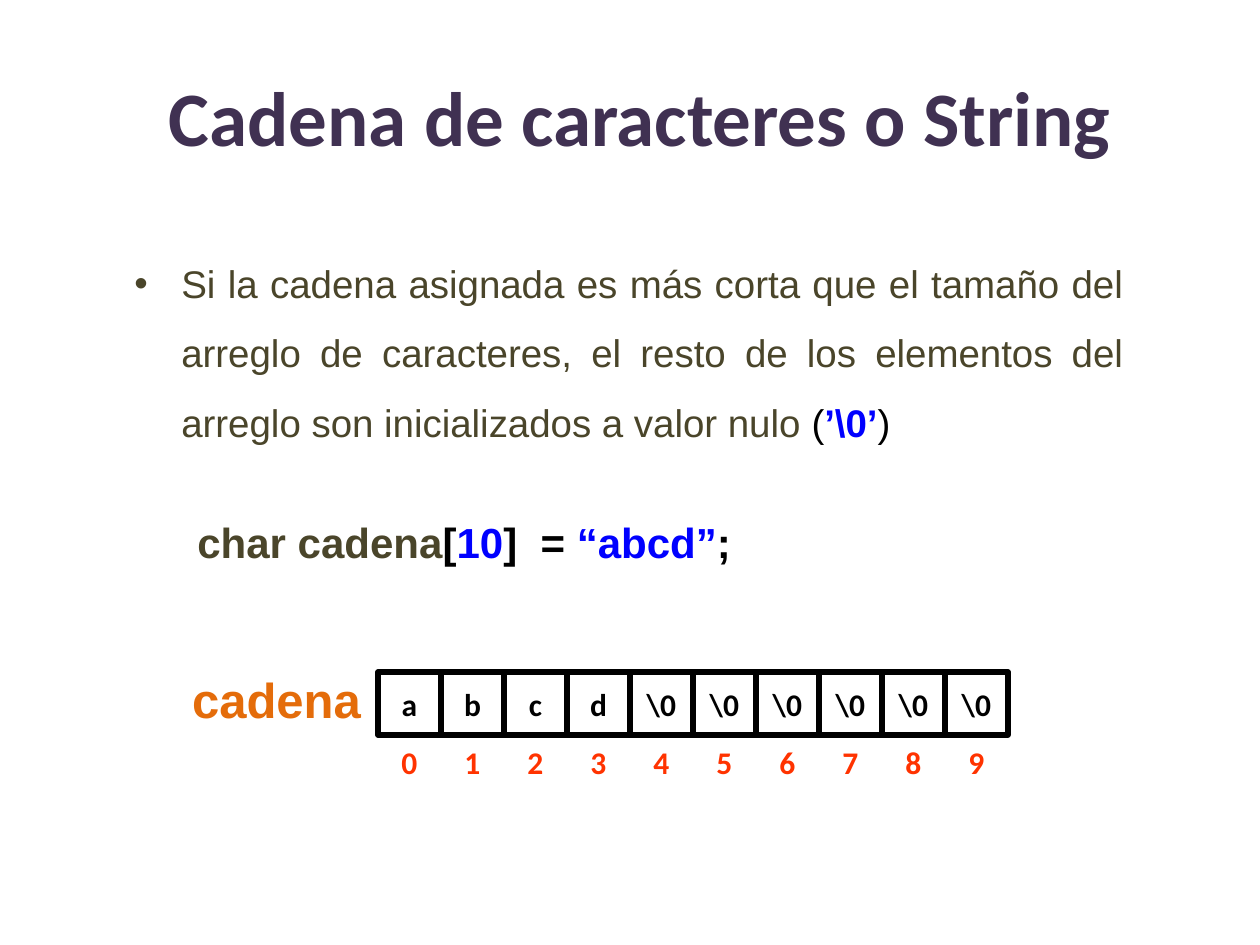
from lxml.etree import SubElement
from pptx import Presentation
from pptx.dml.color import RGBColor
from pptx.enum.shapes import MSO_SHAPE as Shape
from pptx.enum.text import MSO_ANCHOR as Anchor, PP_ALIGN as Align
from pptx.oxml.ns import qn
from pptx.util import Emu, Pt

COLORS = {
    "title": "403152",
    "text": "4A452A",
    "literal": "0000FF",
    "black": "000000",
    "white": "FFFFFF",
    "index": "FF3300",
    "name": "E46C0A",
}
PX = 914400 / 126


def px(length):
    return Emu(round(length * PX))


def color(name):
    return RGBColor.from_string(COLORS[name])


class SlideBuilder:
    def __init__(self, page):
        self.page = page

    def style(self, font, size, tone, face="Arial", bold=True):
        font.name, font.size, font.bold = face, Pt(size), bold
        font.color.rgb = color(tone)

    def frame(self, left, top, width, height, wrap=True, anchor=Anchor.TOP):
        box = self.page.shapes.add_textbox(px(left), px(top), px(width), px(height))
        box.text_frame.word_wrap = wrap
        box.text_frame.vertical_anchor = anchor
        return box.text_frame

    def center_text(self, frame, text, size, tone, face):
        para = frame.paragraphs[0]
        para.text = text
        para.alignment = Align.CENTER
        self.style(para.font, size, tone, face)

    def label(self, text, area, size, tone, face, wrap=False):
        frame = self.frame(*area, wrap=wrap, anchor=Anchor.MIDDLE)
        self.center_text(frame, text, size, tone, face)

    def cell(self, text, left, top, side):
        box = self.page.shapes.add_shape(
            Shape.RECTANGLE, px(left), px(top), px(side), px(side))
        box.shadow.inherit = False
        box.fill.solid()
        box.fill.fore_color.rgb = color("white")
        box.line.color.rgb = color("black")
        box.line.width = Pt(3)
        box.text_frame.word_wrap = False
        box.text_frame.vertical_anchor = Anchor.MIDDLE
        self.center_text(box.text_frame, text, 18, "black", "Calibri")

    def paragraph(self, para, spans, size, spacing, margin, indent, bullet=None):
        para.alignment = Align.JUSTIFY
        para.line_spacing = spacing
        props = para._p.get_or_add_pPr()
        props.set("marL", str(px(margin)))
        props.set("indent", str(px(indent)))
        if bullet:
            SubElement(props, qn("a:buFont"), typeface="Arial")
            SubElement(props, qn("a:buChar"), char=bullet)
        for text, tone, bold in spans:
            span = para.add_run()
            span.text = text
            self.style(span.font, size, tone, bold=bold)


def main():
    deck = Presentation()
    deck.slide_width, deck.slide_height = px(1260), px(945)
    page = deck.slides.add_slide(deck.slide_layouts[6])
    builder = SlideBuilder(page)

    # Title
    builder.label("Cadena de caracteres o String", (105, 37, 1071, 157),
                  44, "title", "Calibri", wrap=True)

    # Explanation and declaration
    body = builder.frame(122, 231, 1014, 441)
    builder.paragraph(body.paragraphs[0], [
        ("Si la cadena asignada es más corta que el tamaño del arreglo de "
         "caracteres, el resto de los elementos del arreglo son "
         "inicializados a valor nulo ", "text", False),
        ("(", "black", False),
        ("’\\0’", "literal", True),
        (")", "black", False),
    ], 22, 1.5, 47, -47, bullet="•")
    code = body.add_paragraph()
    code.level = 1
    code.space_before = Pt(35)
    builder.paragraph(code, [
        ("char cadena", "text", True),
        ("[", "black", True),
        ("10", "literal", True),
        ("]  = ", "black", True),
        ("“abcd”", "literal", True),
        (";", "black", True),
    ], 24, 1.2, 102, -39)

    # Array cells with their indices
    side, left, top = 63, 378, 672
    values = list("abcd") + ["\\0"] * 6
    for index, value in enumerate(values):
        x = left + index * side
        builder.cell(value, x, top, side)
        builder.label(str(index), (x, top + 58, side, side), 18, "index", "Calibri")

    # Array name
    builder.label("cadena", (178, 663, 197, 72), 28, "name", "Arial")

    deck.save("out.pptx")


if __name__ == "__main__":
    main()
